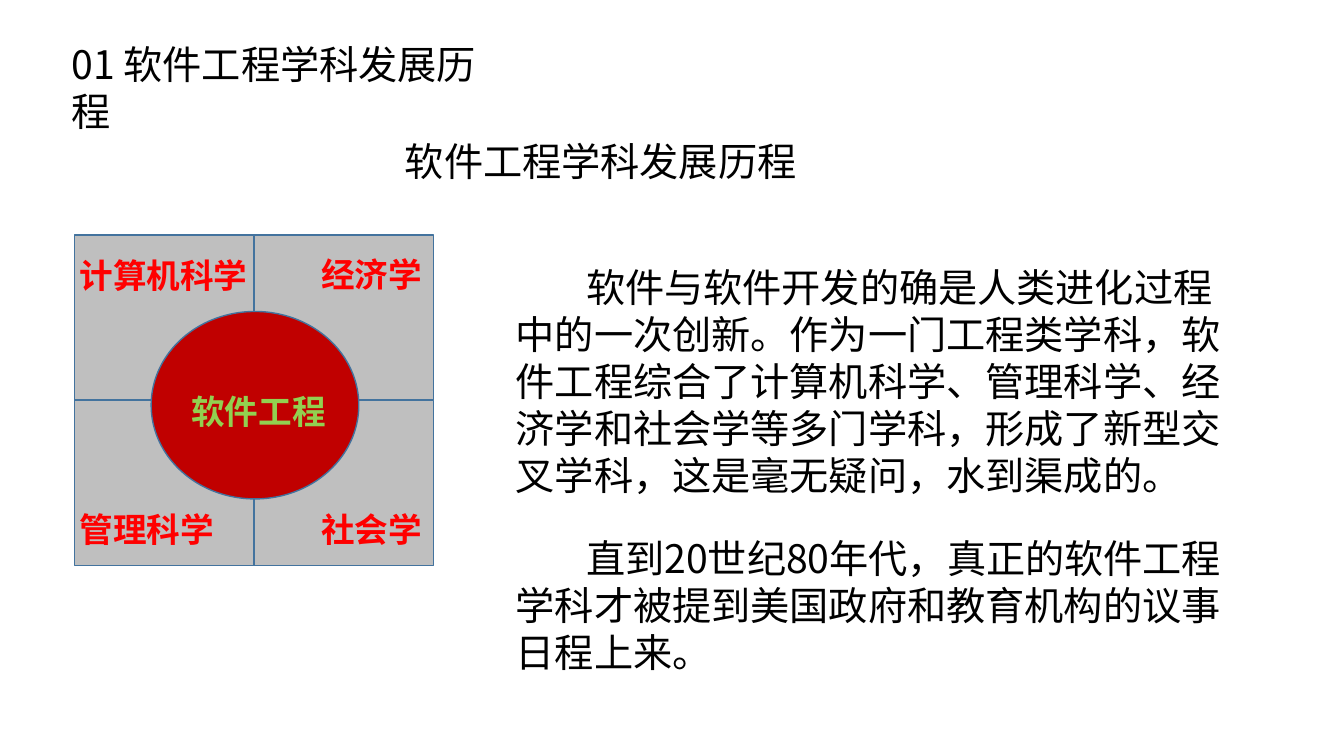
from pptx import Presentation
from pptx.dml.color import RGBColor
from pptx.enum.shapes import MSO_SHAPE as SHAPE
from pptx.oxml.ns import qn
from pptx.util import Pt
from lxml.etree import SubElement

BLACK = RGBColor(0x00, 0x00, 0x00)
RED = RGBColor(0xFF, 0x00, 0x00)
DARK_RED = RGBColor(0xC0, 0x00, 0x00)
GREEN = RGBColor(0x92, 0xD0, 0x50)
GRAY = RGBColor(0xBF, 0xBF, 0xBF)
BLUE = RGBColor(0x43, 0x73, 0x9E)
NOTO, CALIBRI = "Noto Sans CJK SC", "Calibri"

# Content: text, left, top, width, height
SECTION = ("01 软件工程学科发展历程", 43.9, 25.2, 331, 41)
HEADING = ("软件工程学科发展历程", 282.2, 94.3, 297.4, 41)
BODY = [
    ("软件与软件开发的确是人类进化过程中的一次创新。作为一门工程类学科，"
     "软件工程综合了计算机科学、管理科学、经济学和社会学等多门学科，"
     "形成了新型交叉学科，这是毫无疑问，水到渠成的。", 361.4, 184.3, 519, 177),
    ("直到20世纪80年代，真正的软件工程学科才被提到美国政府和教育机构的"
     "议事日程上来。", 361.4, 378, 519, 109),
]
FIELDS = [
    ("计算机科学", 49.7, 178.5, 135.4, 36),
    ("管理科学", 49.7, 360, 111.6, 36),
    ("经济学", 222.5, 177.8, 87.1, 36),
    ("社会学", 222.5, 360, 87.1, 36),
]
CORE = ("软件工程", 129.6, 275.8, 111.6, 36)
GRID_LEFT, GRID_TOP, CELL_W, CELL_H = 53.3, 167.8, 128.2, 118.1
CIRCLE = (108, 222.5, 148.3, 133.9)


def add_shape(s, kind, box, fill):
    sp = s.shapes.add_shape(kind, *map(Pt, box))
    sp.shadow.inherit = False
    sp.fill.solid()
    sp.fill.fore_color.rgb = fill
    sp.line.color.rgb = BLUE
    sp.line.width = Pt(1)


def add_text(s, item, size=28, color=BLACK, bold=False, font=NOTO,
             wrap=False, indent=0):
    text, *box = item
    tf = s.shapes.add_textbox(*map(Pt, box)).text_frame
    tf.word_wrap = wrap
    p = tf.paragraphs[0]
    if indent:
        p._p.get_or_add_pPr().set("indent", str(Pt(indent)))
    r = p.add_run()
    r.text = text
    r.font.size = Pt(size)
    r.font.bold = bold
    r.font.color.rgb = color
    r.font.name = font
    SubElement(r._r.get_or_add_rPr(), qn("a:ea")).set("typeface", NOTO)


prs = Presentation()
prs.slide_width, prs.slide_height = Pt(960), Pt(540)
s = prs.slides.add_slide(prs.slide_layouts[6])

# Titles
add_text(s, SECTION, wrap=True)
add_text(s, HEADING)

# Four fields around software engineering
for row in range(2):
    for col in range(2):
        cell = (GRID_LEFT + col * CELL_W, GRID_TOP + row * CELL_H, CELL_W, CELL_H)
        add_shape(s, SHAPE.RECTANGLE, cell, GRAY)
add_shape(s, SHAPE.OVAL, CIRCLE, DARK_RED)
for field in FIELDS:
    add_text(s, field, 24, RED, True)
add_text(s, CORE, 24, GREEN, True, CALIBRI)

# Body paragraphs
for paragraph in BODY:
    add_text(s, paragraph, wrap=True, indent=50.2)

prs.save("out.pptx")
